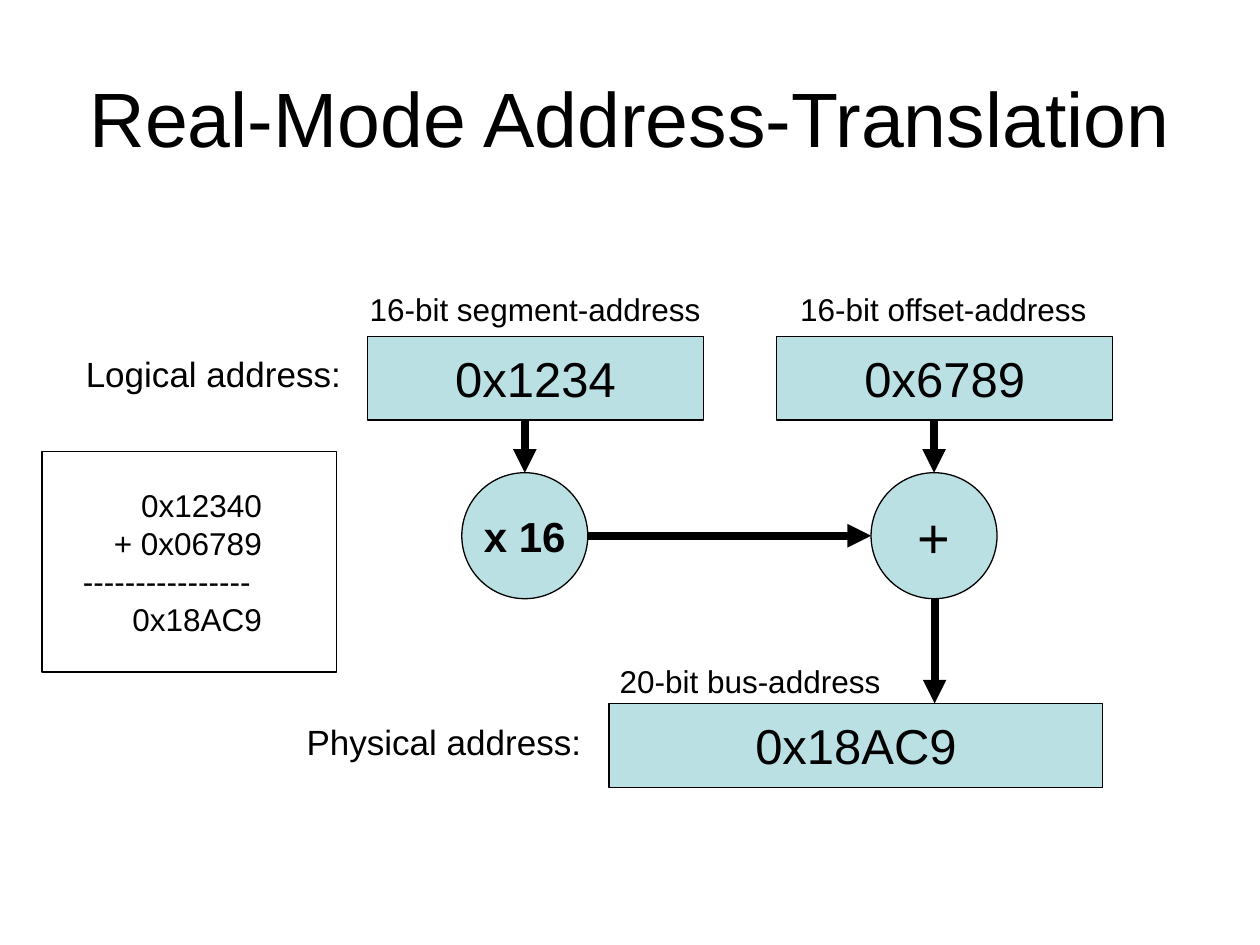
from lxml import etree
from pptx import Presentation
from pptx import util as u
from pptx.dml.color import RGBColor
from pptx.enum import shapes, text
from pptx.oxml.ns import qn

Cm = u.Cm
BLACK, WHITE, TEAL = "000000", "FFFFFF", "BBE0E3"
RECT, OVAL = shapes.MSO_SHAPE.RECTANGLE, shapes.MSO_SHAPE.OVAL
ALIGN = text.PP_ALIGN


def colour(value):
    """Turn a hex string into a colour."""
    return RGBColor.from_string(value)


def write(tf, content, size, align=ALIGN.LEFT, bold=False):
    """Fill a text frame and format its runs."""
    tf.text = content
    for p in tf.paragraphs:
        p.alignment = align
        for r in p.runs:
            r.font.name = "Arial"
            r.font.size = u.Pt(size)
            r.font.bold = bold
            r.font.color.rgb = colour(BLACK)


def node(s, kind, x, y, w, h, content, size, bold=False, fill=TEAL):
    """Draw an outlined shape with centred text."""
    sp = s.shapes.add_shape(kind, Cm(x), Cm(y), Cm(w), Cm(h))
    sp.shadow.inherit = False
    sp.fill.solid()
    sp.fill.fore_color.rgb = colour(fill)
    sp.line.color.rgb = colour(BLACK)
    sp.line.width = u.Pt(0.75)
    tf = sp.text_frame
    tf.word_wrap = False
    tf.vertical_anchor = text.MSO_ANCHOR.MIDDLE
    write(tf, content, size, ALIGN.CENTER, bold)
    return sp


def label(s, x, y, w, h, content, size):
    """Place a one-line label with a little room to spare."""
    tf = s.shapes.add_textbox(Cm(x), Cm(y), Cm(w + 0.2), Cm(h)).text_frame
    tf.word_wrap = True
    write(tf, content, size)


def arrow(s, x1, y1, x2, y2):
    """Draw a thick arrow between two points."""
    ln = s.shapes.add_connector(shapes.MSO_CONNECTOR.STRAIGHT,
                                Cm(x1), Cm(y1), Cm(x2), Cm(y2))
    ln.line.color.rgb = colour(BLACK)
    ln.line.width = u.Pt(4.5)
    etree.SubElement(ln.line._get_or_add_ln(), qn("a:tailEnd"), type="triangle")
    etree.SubElement(ln._element.spPr, qn("a:effectLst"))


def title(s, x, y, w, h):
    """Place the slide title."""
    sp = s.shapes.title
    sp.left, sp.top, sp.width, sp.height = Cm(x), Cm(y), Cm(w), Cm(h)
    sp.text_frame.vertical_anchor = text.MSO_ANCHOR.MIDDLE
    write(sp.text_frame, "Real-Mode Address-Translation", 44, ALIGN.CENTER)


def operand(s, x, y, w, h, value, operator, size, bold=False):
    """Draw an address word and the operator it feeds."""
    d, gap, axis = 2.54, 1.06, x + 3.17
    node(s, RECT, x, y, w, h, value, 28)
    node(s, OVAL, axis - d / 2, y + h + gap, d, d, operator, size, bold)
    arrow(s, axis, y + h, axis, y + h + gap)


def logical(s, x, y, w, h):
    """Draw the segment and offset words with their operators."""
    pitch, height, d = 8.25, 1.69, 2.54
    left, middle = x + 3.17 + d / 2, y + h - d / 2
    label(s, x - 5.93, y + 0.21, 5.64, 1.12, "Logical address:", 20)
    label(s, x - 0.21, y - 1.05, 7.16, 1.02, "16-bit segment-address", 18)
    label(s, x + 8.47, y - 1.05, 6.3, 1.02, "16-bit offset-address", 18)
    operand(s, x, y, w, height, "0x1234", "x 16", 24, True)
    operand(s, x + pitch, y, w, height, "0x6789", "+", 32)
    arrow(s, left, middle, left + pitch - d, middle)


def physical(s, x, y, w, h):
    """Draw the resulting bus address."""
    label(s, x - 6.35, y + 0.21, 6.05, 1.12, "Physical address:", 20)
    label(s, x - 0.04, y - 0.95, 5.77, 1.02, "20-bit bus-address", 18)
    arrow(s, x + 6.56, y - 2.12, x + 6.56, y)
    node(s, RECT, x, y, w, h, "0x18AC9", 28)


def worked_sum(s, x, y, w, h):
    """Draw the addition with right-aligned numbers and a centred rule."""
    rule = "-" * 16
    lines = ["0x12340", "+ 0x06789", rule, "0x18AC9"]
    tf = node(s, RECT, x, y, w, h, "\n".join(lines), 18, fill=WHITE).text_frame
    tf.word_wrap = True
    tf.margin_left, tf.margin_right = Cm(0.6), Cm(1.5)
    for p in tf.paragraphs:
        if p.text != rule:
            p.alignment = ALIGN.RIGHT


def main():
    """Build and save the slide."""
    prs = Presentation()
    prs.slide_width, prs.slide_height = Cm(25.4), Cm(19.05)
    s = prs.slides.add_slide(prs.slide_layouts[5])
    title(s, 1.27, 0.76, 22.86, 3.18)
    logical(s, 7.41, 6.78, 6.77, 5.29)
    physical(s, 12.28, 14.18, 9.95, 1.69)
    worked_sum(s, 0.85, 9.1, 5.93, 4.45)
    prs.save("out.pptx")


if __name__ == "__main__":
    main()
